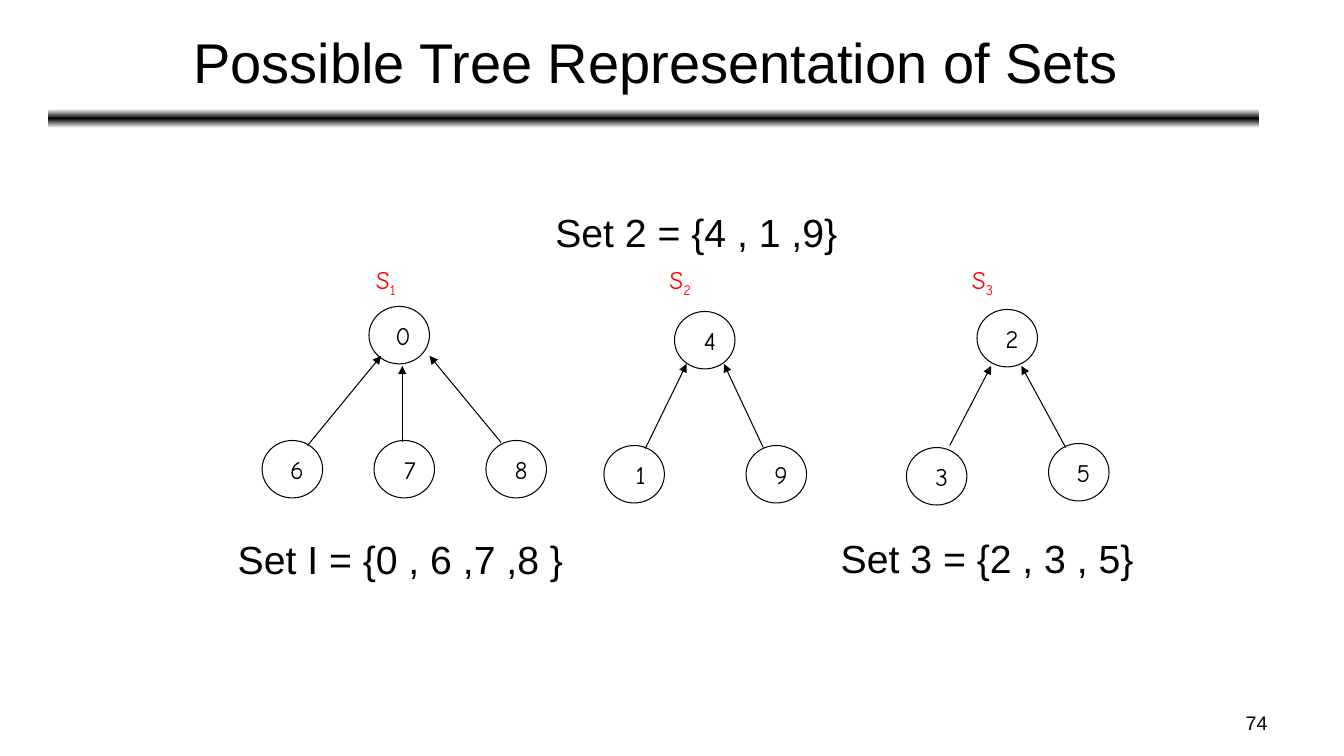
import copy
import pptx
import pptx.util
import pptx.dml.color
import pptx.enum.shapes
import pptx.enum.text
import pptx.oxml
import pptx.oxml.ns

Inches = pptx.util.Inches
Pt = pptx.util.Pt
SHAPE = pptx.enum.shapes.MSO_SHAPE
ALIGN = pptx.enum.text.PP_ALIGN
ANCHOR = pptx.enum.text.MSO_ANCHOR

COLORS = {"ink": "000000", "paper": "FFFFFF", "label": "FF0000"}
BODY, HAND = "Arial", "Comic Neue"
NODE_W, NODE_H = 0.6, 0.57

TITLE = "Possible Tree Representation of Sets"
PAGE = "74"
# Nodes are (text, left, top); each edge is (child end, parent end).
TREES = [
    {"label": ("1", 3.63),
     "caption": ("Set I = {0 , 6 ,7 ,8 }", 2.26, 5.26, 3.43),
     "nodes": [("0", 3.66, 3.04), ("6", 2.6, 4.37), ("7", 3.71, 4.37), ("8", 4.82, 4.37)],
     "edges": [((3.05, 4.42), (3.78, 3.53)), ((3.99, 4.39), (3.99, 3.63)),
               ((4.97, 4.39), (4.26, 3.53))]},
    {"label": ("2", 6.54),
     "caption": ("Set 2 = {4 , 1 ,9}", 5.41, 2.02, 3.0),
     "nodes": [("4", 6.69, 3.09), ("1", 5.99, 4.42), ("9", 7.4, 4.42)],
     "edges": [((6.4, 4.45), (6.81, 3.61)), ((7.57, 4.44), (7.18, 3.61))]},
    {"label": ("3", 9.54),
     "caption": ("Set 3 = {2 , 3 , 5}", 8.24, 5.25, 3.11),
     "nodes": [("2", 9.69, 3.07), ("3", 8.99, 4.44), ("5", 10.4, 4.4)],
     "edges": [((9.42, 4.42), (9.83, 3.63)), ((10.57, 4.44), (10.13, 3.63))]},
]


def rgb(name):
    return pptx.dml.color.RGBColor.from_string(COLORS[name])


def style(p, size, font, color="ink", align=ALIGN.LEFT):
    p.alignment = align
    p.font.size = Pt(size)
    p.font.name = font
    p.font.color.rgb = rgb(color)


def add_text(slide, text, box, size, align=ALIGN.LEFT, wrap=True, anchor=ANCHOR.TOP):
    tf = slide.shapes.add_textbox(*map(Inches, box)).text_frame
    tf.word_wrap = wrap
    tf.vertical_anchor = anchor
    p = tf.paragraphs[0]
    p.text = text
    style(p, size, BODY, align=align)


def add_title_bar(slide):
    sp = slide.shapes.add_shape(SHAPE.ROUNDED_RECTANGLE, *map(Inches, (0.48, 1.08, 12.01, 0.19)))
    sp.shadow.inherit = False
    sp.line.fill.background()
    sp.fill.gradient()
    sp.fill.gradient_angle = 90
    stops = sp._element.spPr.find(".//" + pptx.oxml.ns.qn("a:gsLst"))
    stops.append(copy.deepcopy(stops[0]))
    for stop, position, color in zip(sp.fill.gradient_stops, (0, 0.5, 1), ("paper", "ink", "paper")):
        stop.position = position
        stop.color.rgb = rgb(color)


def add_node(slide, text, left, top):
    sp = slide.shapes.add_shape(SHAPE.OVAL, *map(Inches, (left, top, NODE_W, NODE_H)))
    sp.shadow.inherit = False
    sp.fill.background()
    sp.line.color.rgb = rgb("ink")
    sp.line.width = Pt(0.75)
    tf = sp.text_frame
    tf.word_wrap = False
    tf.vertical_anchor = ANCHOR.MIDDLE
    p = tf.paragraphs[0]
    p.text = text
    style(p, 18, HAND, align=ALIGN.RIGHT)


def add_edge(slide, child, parent):
    line = slide.shapes.add_connector(
        pptx.enum.shapes.MSO_CONNECTOR.STRAIGHT, *map(Inches, child + parent))
    line.line.color.rgb = rgb("ink")
    line.line.width = Pt(0.75)
    ns = pptx.oxml.ns.nsdecls("a")
    line.line._get_or_add_ln().append(
        pptx.oxml.parse_xml(f'<a:tailEnd {ns} type="triangle"/>'))
    line._element.spPr.append(pptx.oxml.parse_xml(f"<a:effectLst {ns}/>"))


def add_label(slide, index, left):
    tf = slide.shapes.add_textbox(*map(Inches, (left, 2.57, 0.75, 0.4))).text_frame
    tf.word_wrap = True
    p = tf.paragraphs[0]
    p.add_run().text = "S"
    r = p.add_run()
    r.text = index
    r._r.get_or_add_rPr().set("baseline", "-25000")
    style(p, 18, HAND, "label")


def main():
    prs = pptx.Presentation()
    prs.slide_width, prs.slide_height = Inches(13.33), Inches(7.5)
    slide = prs.slides.add_slide(prs.slide_layouts[6])

    add_title_bar(slide)
    add_text(slide, TITLE, (0.5, 0.11, 12, 0.99), 40, ALIGN.CENTER, anchor=ANCHOR.MIDDLE)
    for tree in TREES:
        for node in tree["nodes"]:
            add_node(slide, *node)
        for edge in tree["edges"]:
            add_edge(slide, *edge)
        add_label(slide, *tree["label"])
        text, left, top, width = tree["caption"]
        add_text(slide, text, (left, top, width, 0.57), 28, wrap=False)
    add_text(slide, PAGE, (9.56, 7, 3.11, 0.35), 14, ALIGN.RIGHT)

    prs.save("out.pptx")


if __name__ == "__main__":
    main()
